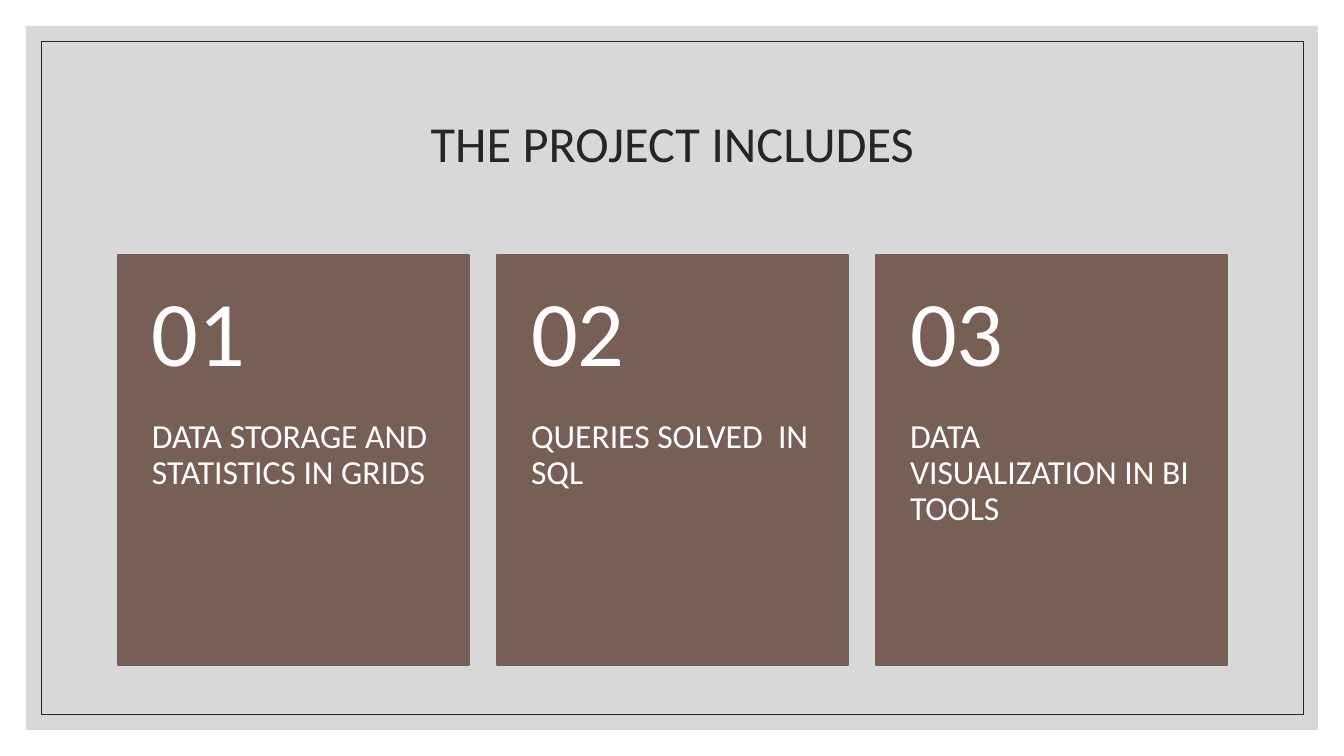
from dataclasses import dataclass

from lxml.etree import SubElement
from pptx import Presentation
from pptx.dml.color import RGBColor
from pptx.enum.shapes import MSO_SHAPE as Shape
from pptx.enum.text import MSO_ANCHOR as Anchor, MSO_AUTO_SIZE as AutoSize, PP_ALIGN as Align
from pptx.oxml.ns import qn
from pptx.util import Emu, Pt


@dataclass(frozen=True)
class Theme:
    font: str = "Calibri"
    panel: str = "BFBFBF"
    ink: str = "262626"
    card: str = "775F55"
    light: str = "FFFFFF"
    title_size: int = 36
    number_size: int = 66
    body_size: int = 24


THEME = Theme()
EMU_PER_PX = 12192000 / 1344
SLIDE_W, SLIDE_H = 1344, 756
CARD_LEFT, CARD_TOP, CARD_W, CARD_H, CARD_PITCH = 118, 255, 351, 410, 379
NUMBER_H = 164
TOPICS = [
    "DATA STORAGE AND  STATISTICS IN GRIDS",
    "QUERIES SOLVED  IN SQL",
    "DATA VISUALIZATION IN BI TOOLS",
]


def px(n):
    return Emu(round(n * EMU_PER_PX))


def box(*lengths):
    return [px(n) for n in lengths]


def rgb(color):
    return RGBColor.from_string(color)


def write(sp, text, *, size, color, align=Align.LEFT, anchor=Anchor.TOP, insets=(10, 5, 10, 5)):
    tf = sp.text_frame
    tf.word_wrap = True
    tf.auto_size = AutoSize.NONE
    tf.vertical_anchor = anchor
    tf.margin_left, tf.margin_top, tf.margin_right, tf.margin_bottom = box(*insets)
    p = tf.paragraphs[0]
    p.alignment = align
    p.line_spacing = 0.9
    p.space_before = Pt(0)
    r = p.add_run()
    r.text = text
    r.font.name = THEME.font
    r.font.size = Pt(size)
    r.font.color.rgb = rgb(color)


def add_rect(shapes, bounds, *, fill=None, alpha=None, line=None, width=1):
    sp = shapes.add_shape(Shape.RECTANGLE, *box(*bounds))
    sp.shadow.inherit = False
    if fill:
        sp.fill.solid()
        sp.fill.fore_color.rgb = rgb(fill)
    else:
        sp.fill.background()
    if alpha:
        color = sp.element.spPr.find(qn("a:solidFill")).find(qn("a:srgbClr"))
        SubElement(color, qn("a:alpha"), val=str(alpha * 1000))
    if line:
        sp.line.color.rgb = rgb(line)
        sp.line.width = Pt(width)
    else:
        sp.line.fill.background()


def add_title(s, text):
    sp = s.shapes.title
    sp.element.getparent().append(sp.element)
    sp.left, sp.top, sp.width, sp.height = box(118, 71, 1109, 151)
    write(sp, text, size=THEME.title_size, color=THEME.ink, align=Align.CENTER, anchor=Anchor.MIDDLE)


def add_card(s, index, topic):
    left = CARD_LEFT + index * CARD_PITCH
    shapes = s.shapes.add_group_shape().shapes
    add_rect(shapes, (left, CARD_TOP, CARD_W, CARD_H), fill=THEME.card, line=THEME.card)
    body = shapes.add_textbox(*box(left, CARD_TOP + NUMBER_H, CARD_W, CARD_H - NUMBER_H))
    write(body, topic, size=THEME.body_size, color=THEME.light, insets=(34, 0, 34, 36))
    number = shapes.add_textbox(*box(left, CARD_TOP, CARD_W, NUMBER_H))
    write(number, f"{index + 1:02}", size=THEME.number_size, color=THEME.light,
          anchor=Anchor.MIDDLE, insets=(34, 18, 34, 18))


def main():
    prs = Presentation()
    prs.slide_width, prs.slide_height = box(SLIDE_W, SLIDE_H)
    s = prs.slides.add_slide(prs.slide_layouts.get_by_name("Title Only"))
    add_rect(s.shapes, (26, 26, 1292, 704), fill=THEME.panel, alpha=60)
    add_rect(s.shapes, (41, 41, 1262, 673), line=THEME.ink, width=0.5)
    add_title(s, "THE PROJECT INCLUDES")
    for index, topic in enumerate(TOPICS):
        add_card(s, index, topic)
    prs.save("out.pptx")


if __name__ == "__main__":
    main()
